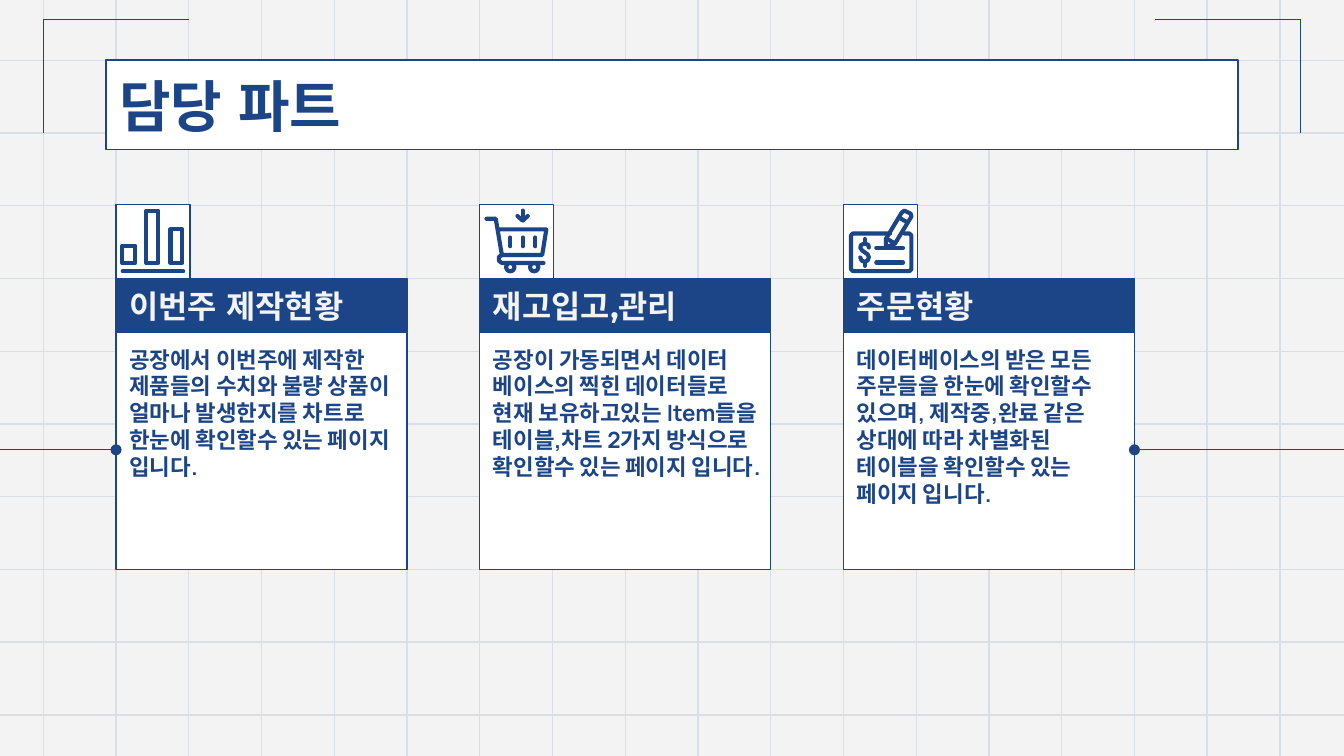
from math import cos, pi, sin

from lxml import etree
from pptx import Presentation
from pptx.dml.color import RGBColor
from pptx.enum.shapes import MSO_CONNECTOR, MSO_SHAPE
from pptx.enum.text import MSO_ANCHOR, MSO_AUTO_SIZE, PP_ALIGN
from pptx.oxml.ns import qn
from pptx.util import Pt

RECT, LINE = MSO_SHAPE.RECTANGLE, MSO_CONNECTOR.STRAIGHT
TOP, MID = MSO_ANCHOR.TOP, MSO_ANCHOR.MIDDLE
LEFT, FIXED = PP_ALIGN.LEFT, MSO_AUTO_SIZE.NONE


def box_path(x1, y1, x2, y2):
    return [(x1, y1), (x2, y1), (x2, y2), (x1, y2), (x1, y1)]


def ring(x, y, r):
    return [(x + r * cos(k * pi / 8), y + r * sin(k * pi / 8)) for k in range(17)]


# Icon strokes, in points from the corner of the icon box
BARS = [
    [(3.6, 35.8), (36, 35.8)],
    box_path(3.4, 22, 10.3, 31.3),
    box_path(16.2, 3.3, 22.7, 31.3),
    box_path(29.2, 13.3, 35.6, 31.3),
]
CART = [
    [(3.6, 7.6), (8.6, 7.6), (11.9, 27), (33.5, 27), (35.7, 13.3), (9.8, 13.3)],
    [(11.9, 27), (10.3, 28), (10.3, 30.2), (12, 31.3), (34.2, 31.3)],
    *[[(x, 17.6), (x, 22.3)] for x in (16.4, 23.1, 29.8)],
    [(23, 3.2), (23, 8.5)],
    [(20.2, 6.1), (23, 8.6), (25.8, 6.1)],
    ring(16.4, 33.5, 2.2),
    ring(29.2, 33.5, 2.2),
]
ORDER = [
    [(25, 15.5), (5, 15.5), (4, 16.5), (4, 34.6), (5, 35.6), (35.4, 35.6),
     (36.4, 34.6), (36.4, 16.5), (35.4, 15.5), (32.6, 15.5)],
    [(22.7, 23), (22.7, 18.4), (31.2, 4.3), (32.6, 3.2), (36, 4.9),
     (36.4, 6.4), (27.6, 20.9), (22.7, 23)],
    [(29.9, 7), (33.8, 9.3)],
    [(23.5, 18.5), (27.3, 20.6)],
    [(17.6, 23.2), (31.9, 23.2)],
    [(17.6, 31), (31.9, 31)],
    [(13.6, 23), (13.3, 21.6), (11.5, 20.8), (9.4, 21.6), (9, 23), (9.9, 24.5),
     (13, 26.7), (13.6, 28.2), (13, 29.9), (11.5, 30.7), (9.7, 30), (9, 28.3)],
    [(11.5, 18.4), (11.5, 20.8)],
    [(11.5, 30.7), (11.5, 32.8)],
]

# Content
TITLE = "담당 파트"
CARDS = [
    ("이번주 제작현황", "공장에서 이번주에 제작한 제품들의 수치와 불량 상품이 얼마나 "
     "발생한지를 차트로 한눈에 확인할수 있는 페이지 입니다.", BARS),
    ("재고입고,관리", "공장이 가동되면서 데이터 베이스의 찍힌 데이터들로 현재 "
     "보유하고있는 Item들을 테이블,차트 2가지 방식으로 확인할수 있는 페이지 입니다.", CART),
    ("주문현황", "데이터베이스의 받은 모든 주문들을 한눈에 확인할수 있으며, "
     "제작중,완료 같은 상대에 따라 차별화된 테이블을 확인할수 있는 페이지 입니다.", ORDER),
]

THEME = {
    "navy": RGBColor.from_string("1C4587"),
    "grid": RGBColor.from_string("D9DFE9"),
    "pale": RGBColor.from_string("F3F3F3"),
    "white": RGBColor.from_string("FFFFFF"),
    "head": "Montserrat", "text": "Manrope",
    "title_pt": 30, "head_pt": 17, "text_pt": 12,
    "thin": 0.75, "bold": 2.2,
}
NAVY, PALE, WHITE = THEME["navy"], THEME["pale"], THEME["white"]

# Layout rules
WIDE, HIGH = 720, 405
CELL, COL, ROW = 38.97, 23.2, 32.3
ICON, HEAD = 39.6, 28.8
CARD_X, CARD_Y = COL + CELL, ROW + 3 * CELL
CARD_W, PITCH = 4 * CELL, 5 * CELL
TEXT_Y, CARD_END = CARD_Y + HEAD, ROW + 7 * CELL


def paint(shape, fill):
    shape.fill.solid()
    shape.fill.fore_color.rgb = fill
    shape.line.color.rgb = NAVY
    shape.line.width = Pt(THEME["thin"])
    shape.shadow.inherit = False


def write(shape, text, size, face, color, anchor):
    frame = shape.text_frame
    frame.word_wrap, frame.auto_size = True, FIXED
    frame.vertical_anchor = anchor
    frame.margin_left = frame.margin_right = Pt(7.2)
    frame.margin_top = frame.margin_bottom = Pt(7.2)
    para = frame.paragraphs[0]
    para.text, para.alignment = text, LEFT
    font = para.font
    font.size, font.bold, font.name = Pt(size), True, face
    font.color.rgb = color
    # East Asian face, for the Korean text
    props = para._p.find(".//" + qn("a:defRPr"))
    etree.SubElement(props, qn("a:ea"), typeface=face)


def add_box(shapes, x, y, w, h, fill):
    box = shapes.add_shape(RECT, Pt(x), Pt(y), Pt(w), Pt(h))
    paint(box, fill)
    return box


def add_line(shapes, x1, y1, x2, y2, color, dot=False):
    line = shapes.add_connector(LINE, Pt(x1), Pt(y1), Pt(x2), Pt(y2))
    line.line.color.rgb = color
    line.line.width = Pt(THEME["thin"])
    props = line.element.spPr
    if dot:
        etree.SubElement(props.find(qn("a:ln")), qn("a:tailEnd"), type="oval")
    etree.SubElement(props, qn("a:effectLst"))


def add_icon(shapes, x, y, strokes):
    paths = [[(Pt(x + a), Pt(y + b)) for a, b in part] for part in strokes]
    pen = shapes.build_freeform(*paths[0][0])
    for path in paths:
        pen.move_to(*path[0])
        pen.add_line_segments(path[1:], close=False)
    icon = pen.convert_to_shape()
    icon.fill.background()
    icon.line.color.rgb = NAVY
    icon.line.width = Pt(THEME["bold"])
    icon.shadow.inherit = False
    edge = icon.element.spPr.find(qn("a:ln"))
    edge.set("cap", "rnd")
    etree.SubElement(edge, qn("a:round"))


def main():
    deck = Presentation()
    deck.slide_width, deck.slide_height = Pt(WIDE), Pt(HIGH)
    slide = deck.slides.add_slide(deck.slide_layouts[5])
    shapes = slide.shapes
    slide.background.fill.solid()
    slide.background.fill.fore_color.rgb = PALE

    # Grid
    for k in range(10):
        add_line(shapes, 0, ROW + k * CELL, WIDE, ROW + k * CELL, THEME["grid"])
    for k in range(18):
        add_line(shapes, COL + k * CELL, 0, COL + k * CELL, HIGH, THEME["grid"])

    # Corner brackets
    for x, step in ((COL, 2 * CELL), (WIDE - COL, -2 * CELL)):
        add_line(shapes, x, 10.4, x, 71.2, NAVY)
        add_line(shapes, x, 10.4, x + step, 10.4, NAVY)

    # Cards
    for k, (name, text, strokes) in enumerate(CARDS):
        x, y = CARD_X + k * PITCH, CARD_Y - ICON
        add_box(shapes, x, y, ICON, ICON, WHITE)
        add_icon(shapes, x, y, strokes)
        body = add_box(shapes, x, TEXT_Y, CARD_W, CARD_END - TEXT_Y, WHITE)
        write(body, text, THEME["text_pt"], THEME["text"], NAVY, TOP)
        head = add_box(shapes, x, CARD_Y, CARD_W, HEAD, NAVY)
        write(head, name, THEME["head_pt"], THEME["head"], PALE, MID)

    # Side lines
    for edge, x in ((0, CARD_X), (WIDE, CARD_X + 2 * PITCH + CARD_W)):
        add_line(shapes, edge, 241, x, 241, NAVY, dot=True)

    # Title, above the grid
    title = shapes.title
    title.left, title.top, title.width, title.height = map(Pt, (56.8, 32.2, 606.4, 48))
    paint(title, WHITE)
    write(title, TITLE, THEME["title_pt"], THEME["head"], NAVY, MID)
    title.element.getparent().append(title.element)

    deck.save("out.pptx")


if __name__ == "__main__":
    main()
